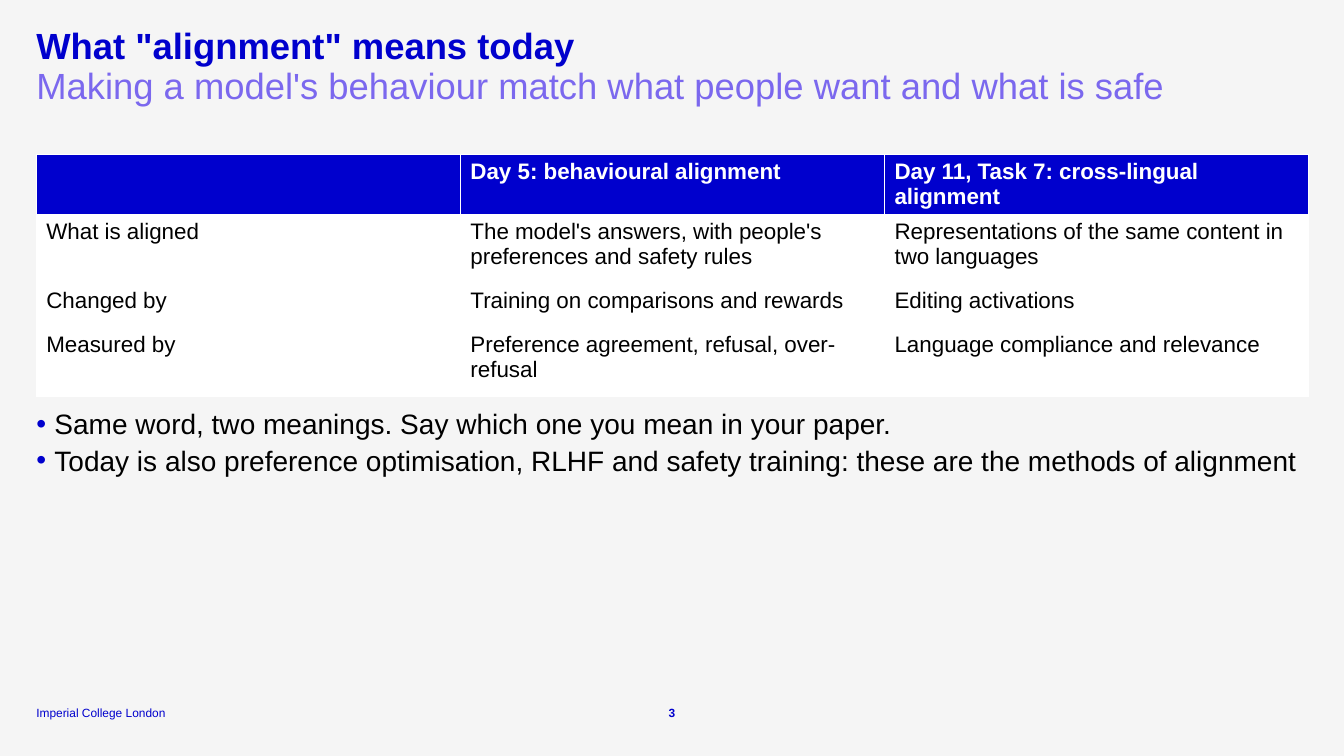
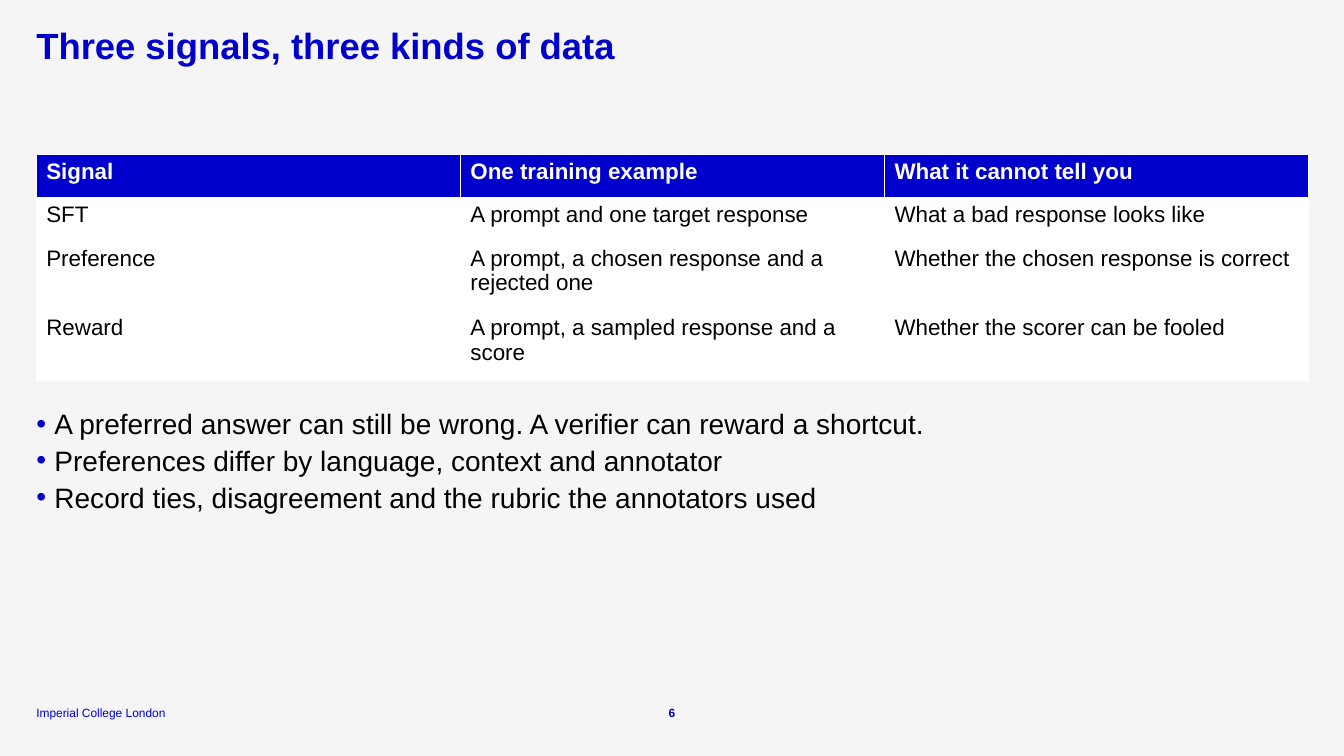
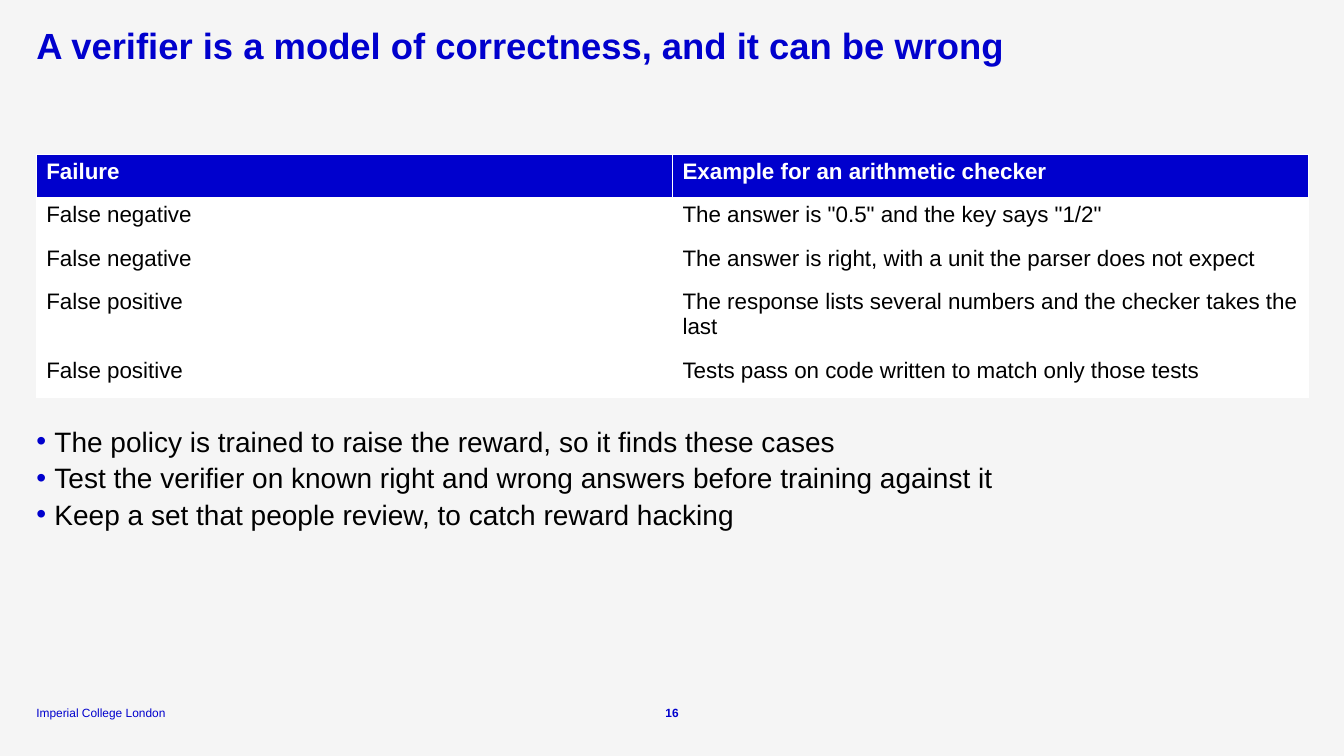
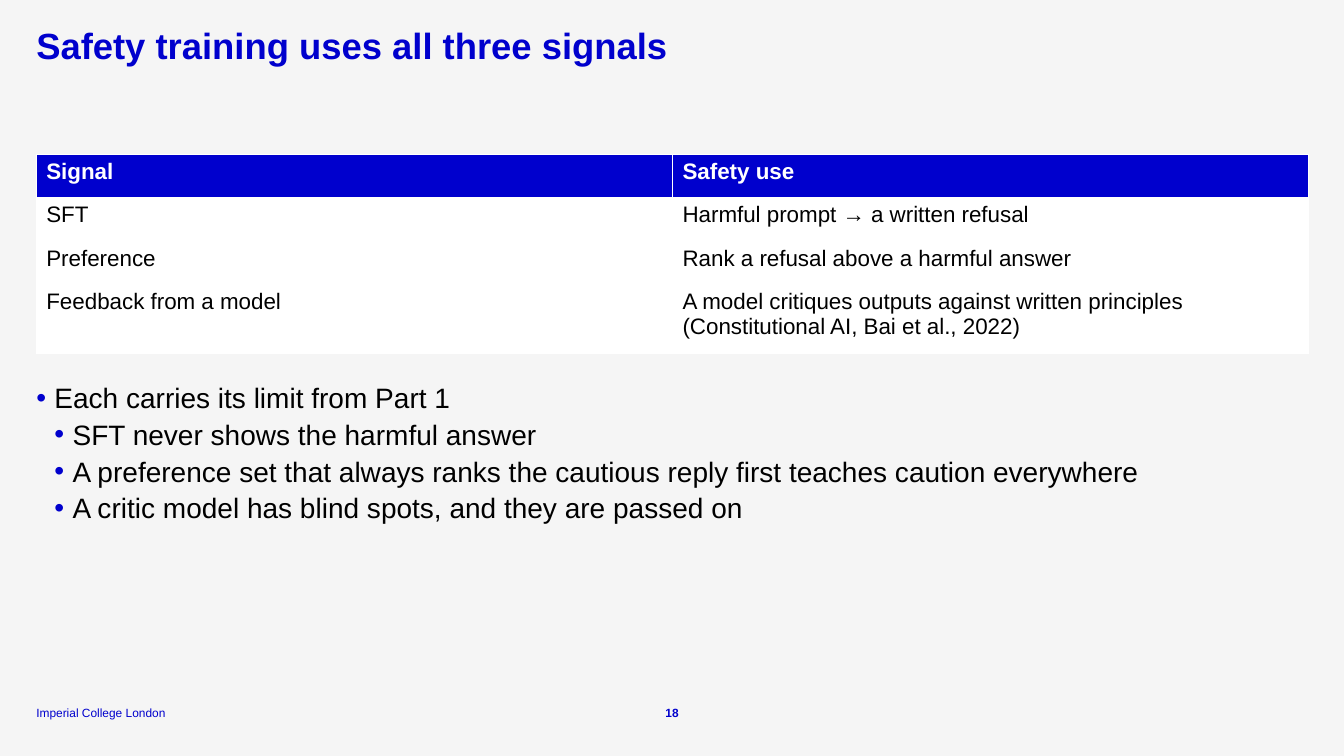
"""Build four slides on alignment, training signals and verifiers."""
from lxml.etree import SubElement
from pptx import Presentation
from pptx.dml.color import RGBColor
from pptx.enum.text import MSO_ANCHOR, MSO_AUTO_SIZE, PP_ALIGN
from pptx.oxml.ns import qn
from pptx.util import Inches, Pt

FONT = "Arial"
BLUE, VIOLET, BLACK, WHITE, GREY = "0000CD", "7B68EE", "000000", "FFFFFF", "F5F5F5"
LEFT, WIDTH = 0.36, 12.62
TABLE_TOP, SHORT_ROW, TALL_ROW, BODY_GAP = 1.53, 0.43, 0.69, 0.25
BULLET_STEP = 0.18


def color(value):
    """Turn a hex string into a colour."""
    return RGBColor.from_string(value)


def place(shape, left, top, width, height):
    """Set the position and size of a shape in inches."""
    shape.left, shape.top = Inches(left), Inches(top)
    shape.width, shape.height = Inches(width), Inches(height)


def add_run(paragraph, text, size, hex_color, bold=False):
    """Add one formatted run to a paragraph."""
    run = paragraph.add_run()
    run.text = text
    run.font.name = FONT
    run.font.size = Pt(size)
    run.font.bold = bold
    run.font.color.rgb = color(hex_color)


def prepare_frame(shape, anchor=MSO_ANCHOR.TOP):
    """Give a shape a wrapping text frame without margins."""
    frame = shape.text_frame
    frame.word_wrap = True
    frame.auto_size = MSO_AUTO_SIZE.NONE
    frame.vertical_anchor = anchor
    frame.margin_left = frame.margin_right = frame.margin_top = frame.margin_bottom = 0
    return frame


def write_heading(shape, text, hex_color, bold):
    """Write a title or subtitle line."""
    paragraph = prepare_frame(shape).paragraphs[0]
    paragraph.alignment = PP_ALIGN.LEFT
    paragraph.line_spacing = 0.9
    add_run(paragraph, text, 26, hex_color, bold)


def add_footer_text(slide, text, left, width, alignment, bold=False):
    """Add a small text on the footer line."""
    box = slide.shapes.add_textbox(Inches(left), Inches(6.99), Inches(width), Inches(0.15))
    paragraph = prepare_frame(box, MSO_ANCHOR.BOTTOM).paragraphs[0]
    paragraph.alignment = alignment
    add_run(paragraph, text, 8.5, BLUE, bold)


def set_bullet(paragraph, depth):
    """Give a paragraph a blue bullet and a hanging indent."""
    paragraph.level = depth + 1
    properties = paragraph._p.get_or_add_pPr()
    properties.set("marL", str(Inches(BULLET_STEP * depth)))
    properties.set("indent", str(-Inches(BULLET_STEP)))
    bullet_color = SubElement(properties, qn("a:buClr"))
    SubElement(bullet_color, qn("a:srgbClr")).set("val", BLUE)
    SubElement(properties, qn("a:buChar")).set("char", "•")


def write_bullets(shape, items):
    """Write (depth, text) items as a bulleted list."""
    frame = prepare_frame(shape)
    for index, (depth, text) in enumerate(items):
        paragraph = frame.add_paragraph() if index else frame.paragraphs[0]
        set_bullet(paragraph, depth)
        paragraph.line_spacing = 1.05
        paragraph.space_before = Pt(0)
        paragraph.space_after = Pt(1)
        add_run(paragraph, text, 20, BLACK)


def add_table(slide, rows, tall_rows):
    """Add a table with a blue header and return its bottom edge in inches."""
    heights = [TALL_ROW if index in tall_rows else SHORT_ROW for index in range(len(rows))]
    columns = len(rows[0])
    table = slide.shapes.add_table(
        len(rows), columns, Inches(LEFT), Inches(TABLE_TOP), Inches(WIDTH), Inches(sum(heights))
    ).table
    table.horz_banding = False
    for column in table.columns:
        column.width = Inches(WIDTH / columns)
    for row_index, texts in enumerate(rows):
        table.rows[row_index].height = Inches(heights[row_index])
        header = row_index == 0
        for column_index, text in enumerate(texts):
            cell = table.cell(row_index, column_index)
            cell.fill.solid()
            cell.fill.fore_color.rgb = color(BLUE if header else WHITE)
            if text:
                paragraph = cell.text_frame.paragraphs[0]
                add_run(paragraph, text, 16, WHITE if header else BLACK, header)
    return TABLE_TOP + sum(heights)


def add_slide(presentation, number, title, rows, tall_rows, items, body_height, subtitle=None):
    """Add a slide with a title, a table and a list below it."""
    slide = presentation.slides.add_slide(presentation.slide_layouts[1])
    write_heading(slide.shapes.title, title, BLUE, True)
    if subtitle:
        box = slide.shapes.add_textbox(Inches(LEFT), Inches(0.68), Inches(WIDTH), Inches(0.41))
        write_heading(box, subtitle, VIOLET, False)
    bottom = add_table(slide, rows, tall_rows)
    body = slide.placeholders[1]
    place(body, LEFT, bottom + BODY_GAP, WIDTH, body_height)
    write_bullets(body, items)
    add_footer_text(slide, "Imperial College London", LEFT, 1.55, PP_ALIGN.LEFT)
    add_footer_text(slide, str(number), 6.49, 0.35, PP_ALIGN.CENTER, True)


def set_template(presentation):
    """Set the slide size, background and title position for all slides."""
    presentation.slide_width, presentation.slide_height = Inches(13.33), Inches(7.5)
    fill = presentation.slide_master.background.fill
    fill.solid()
    fill.fore_color.rgb = color(GREY)
    place(presentation.slide_layouts[1].placeholders[0], LEFT, 0.28, WIDTH, 0.41)


def main():
    """Build and save the presentation."""
    presentation = Presentation()
    set_template(presentation)
    add_slide(
        presentation, 3, 'What "alignment" means today',
        [
            ("", "Day 5: behavioural alignment", "Day 11, Task 7: cross-lingual alignment"),
            ("What is aligned", "The model's answers, with people's preferences and safety rules",
             "Representations of the same content in two languages"),
            ("Changed by", "Training on comparisons and rewards", "Editing activations"),
            ("Measured by", "Preference agreement, refusal, over-refusal",
             "Language compliance and relevance"),
        ],
        {1, 3},
        [
            (1, "Same word, two meanings. Say which one you mean in your paper."),
            (1, "Today is also preference optimisation, RLHF and safety training: "
                "these are the methods of alignment"),
        ],
        1.35,
        "Making a model's behaviour match what people want and what is safe",
    )
    add_slide(
        presentation, 6, "Three signals, three kinds of data",
        [
            ("Signal", "One training example", "What it cannot tell you"),
            ("SFT", "A prompt and one target response", "What a bad response looks like"),
            ("Preference", "A prompt, a chosen response and a rejected one",
             "Whether the chosen response is correct"),
            ("Reward", "A prompt, a sampled response and a score",
             "Whether the scorer can be fooled"),
        ],
        {2, 3},
        [
            (1, "A preferred answer can still be wrong. A verifier can reward a shortcut."),
            (1, "Preferences differ by language, context and annotator"),
            (1, "Record ties, disagreement and the rubric the annotators used"),
        ],
        1.49,
    )
    add_slide(
        presentation, 16, "A verifier is a model of correctness, and it can be wrong",
        [
            ("Failure", "Example for an arithmetic checker"),
            ("False negative", 'The answer is "0.5" and the key says "1/2"'),
            ("False negative", "The answer is right, with a unit the parser does not expect"),
            ("False positive", "The response lists several numbers and the checker takes the last"),
            ("False positive", "Tests pass on code written to match only those tests"),
        ],
        {3},
        [
            (1, "The policy is trained to raise the reward, so it finds these cases"),
            (1, "Test the verifier on known right and wrong answers before training against it"),
            (1, "Keep a set that people review, to catch reward hacking"),
        ],
        1.49,
    )
    add_slide(
        presentation, 18, "Safety training uses all three signals",
        [
            ("Signal", "Safety use"),
            ("SFT", "Harmful prompt → a written refusal"),
            ("Preference", "Rank a refusal above a harmful answer"),
            ("Feedback from a model", "A model critiques outputs against written principles "
                                      "(Constitutional AI, Bai et al., 2022)"),
        ],
        {3},
        [
            (1, "Each carries its limit from Part 1"),
            (2, "SFT never shows the harmful answer"),
            (2, "A preference set that always ranks the cautious reply first "
                "teaches caution everywhere"),
            (2, "A critic model has blind spots, and they are passed on"),
        ],
        1.98,
    )
    presentation.save("out.pptx")


if __name__ == "__main__":
    main()
